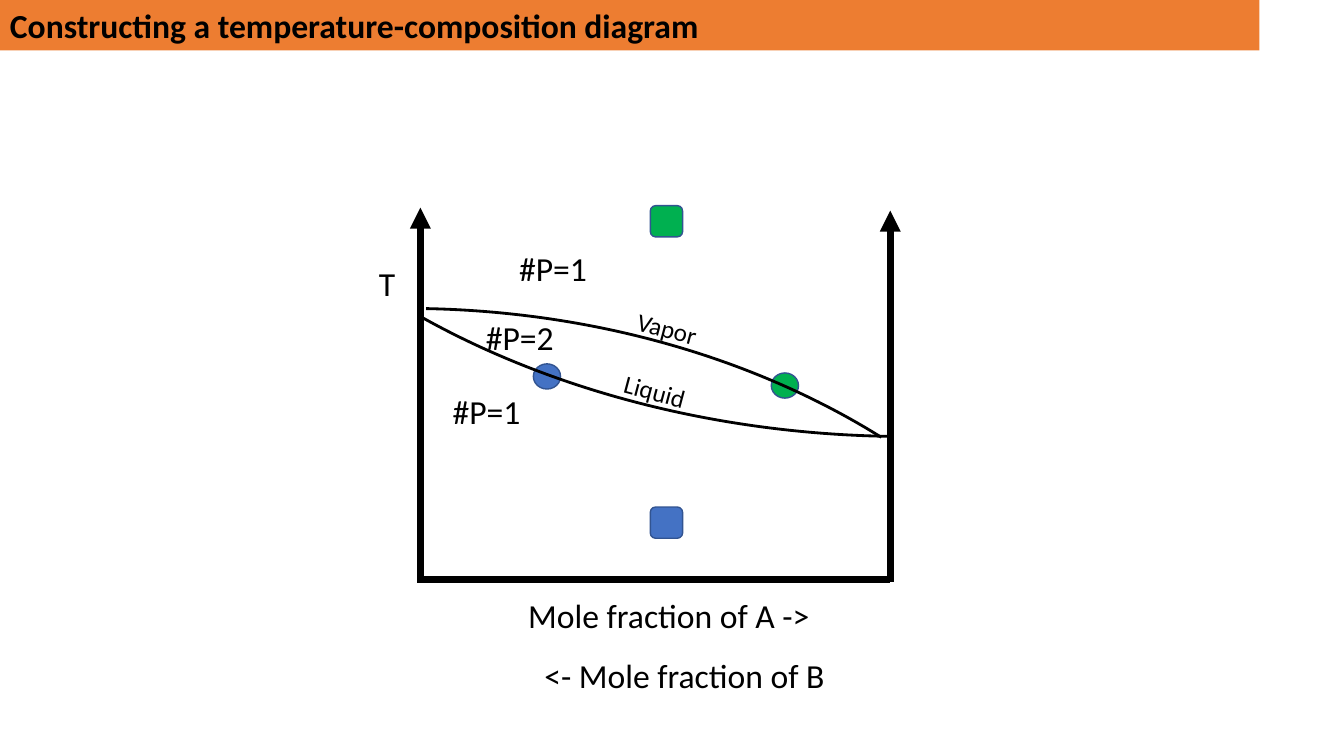
from dataclasses import dataclass

from lxml import etree
from pptx import Presentation
from pptx import util as u
from pptx.dml.color import RGBColor
from pptx.enum import shapes, text
from pptx.oxml import ns

BLACK, BLUE, GREEN, ORANGE, OUTLINE = "000000", "4472C4", "00B050", "ED7D31", "325491"
KIND = shapes.MSO_SHAPE


@dataclass
class Axis:
    start: tuple[float, float]
    end: tuple[float, float]
    arrow: bool = True


@dataclass
class Marker:
    kind: shapes.MSO_SHAPE
    box: tuple[float, float, float, float]
    fill: str


@dataclass
class Curve:
    box: tuple[float, float, float, float]
    start_degrees: float
    end_degrees: float
    rotation: float = 0


@dataclass
class Label:
    words: str
    box: tuple[float, float, float, float]
    size: int = 24
    rotation: float = 0


AXES = [
    Axis((4.17, 5.75), (4.17, 2.06)),
    Axis((4.14, 5.75), (8.83, 5.75), arrow=False),
    Axis((8.83, 5.77), (8.83, 2.09)),
]
MARKERS = [
    Marker(KIND.OVAL, (7.65, 3.7, 0.27, 0.25), GREEN),
    Marker(KIND.OVAL, (5.29, 3.61, 0.27, 0.25), BLUE),
    Marker(KIND.ROUNDED_RECTANGLE, (6.45, 5.03, 0.32, 0.31), BLUE),
    Marker(KIND.ROUNDED_RECTANGLE, (6.45, 2.04, 0.32, 0.31), GREEN),
]
CURVES = [
    Curve((-3.33, 3.06, 14.73, 11.08), 271.98, 317.84),
    Curve((1.21, -6.73, 15.57, 11.06), 271.98, 318.22, rotation=180),
]
LABELS = [
    Label("Mole fraction of A ->", (5.14, 5.85, 3.12, 0.5)),
    Label("<- Mole fraction of B", (5.3, 6.45, 3.12, 0.5)),
    Label("T", (3.66, 2.56, 0.72, 0.5)),
    Label("#P=2", (4.72, 3.09, 1.18, 0.5)),
    Label("#P=1", (5.05, 2.41, 1.18, 0.5)),
    Label("#P=1", (4.39, 3.83, 1.18, 0.5)),
    Label("Liquid", (6.09, 3.68, 0.83, 0.4), 18, 14.9),
    Label("Vapor", (6.22, 3.06, 0.83, 0.4), 18, 14.9),
]


def color(value: str) -> RGBColor:
    return RGBColor.from_string(value)


def set_line(line, value: str, points: float) -> None:
    line.color.rgb = color(value)
    line.width = u.Pt(points)


def add_preset(slide, kind, box, fill: str | None = None):
    shape = slide.shapes.add_shape(kind, *map(u.Inches, box))
    shape.shadow.inherit = False
    if fill:
        shape.fill.solid()
        shape.fill.fore_color.rgb = color(fill)
    else:
        shape.fill.background()
    return shape


def write(shape, words: str, size: int, bold: bool = False) -> None:
    paragraph = shape.text_frame.paragraphs[0]
    paragraph.text = words
    paragraph.alignment = text.PP_ALIGN.LEFT
    paragraph.font.name = "Calibri"
    paragraph.font.size = u.Pt(size)
    paragraph.font.bold = bold
    paragraph.font.color.rgb = color(BLACK)


def draw_axis(slide, axis: Axis) -> None:
    connector = slide.shapes.add_connector(
        shapes.MSO_CONNECTOR.STRAIGHT, *map(u.Inches, axis.start + axis.end))
    set_line(connector.line, BLACK, 5)
    properties = connector._element.spPr
    if axis.arrow:
        line = properties.find(ns.qn("a:ln"))
        etree.SubElement(line, ns.qn("a:tailEnd"), type="triangle")
    etree.SubElement(properties, ns.qn("a:effectLst"))


def draw_marker(slide, marker: Marker) -> None:
    shape = add_preset(slide, marker.kind, marker.box, marker.fill)
    set_line(shape.line, OUTLINE, 1)


def draw_curve(slide, curve: Curve) -> None:
    shape = add_preset(slide, KIND.ARC, curve.box)
    # Arc angles are stored in 60000ths of a degree, adjustments in 100000ths
    shape.adjustments[0] = curve.start_degrees * 0.6
    shape.adjustments[1] = curve.end_degrees * 0.6
    shape.rotation = curve.rotation
    set_line(shape.line, BLACK, 2)


def draw_label(slide, label: Label) -> None:
    shape = slide.shapes.add_textbox(*map(u.Inches, label.box))
    shape.rotation = label.rotation
    shape.text_frame.word_wrap = not label.rotation
    shape.text_frame.auto_size = text.MSO_AUTO_SIZE.SHAPE_TO_FIT_TEXT
    write(shape, label.words, label.size)


def draw_title(slide) -> None:
    bar = add_preset(slide, KIND.RECTANGLE, (0, 0, 12.49, 0.5), ORANGE)
    bar.line.fill.background()
    bar.text_frame.word_wrap = True
    bar.text_frame.auto_size = text.MSO_AUTO_SIZE.SHAPE_TO_FIT_TEXT
    write(bar, "Constructing a temperature-composition diagram", 24, bold=True)


def main() -> None:
    presentation = Presentation()
    presentation.slide_width = u.Inches(13.33)
    presentation.slide_height = u.Inches(7.5)
    slide = presentation.slides.add_slide(presentation.slide_layouts[6])

    # Diagram, from back to front
    for axis in AXES:
        draw_axis(slide, axis)
    for marker in MARKERS:
        draw_marker(slide, marker)
    for curve in CURVES:
        draw_curve(slide, curve)
    for label in LABELS:
        draw_label(slide, label)

    # Title bar
    draw_title(slide)
    presentation.save("out.pptx")


if __name__ == "__main__":
    main()
